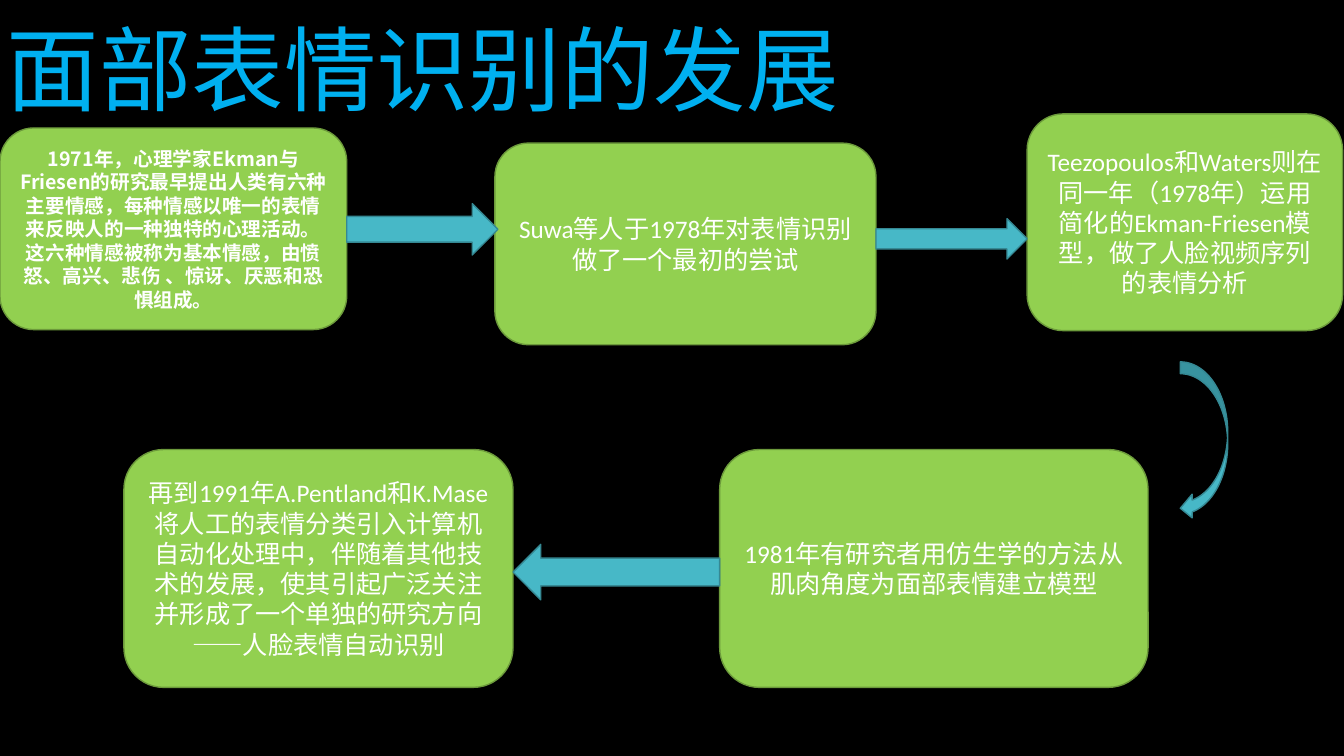
from dataclasses import dataclass

from lxml.etree import SubElement
from pptx import Presentation
from pptx.dml.color import RGBColor as RGB
from pptx.enum.lang import MSO_LANGUAGE_ID as LANG
from pptx.enum.shapes import MSO_SHAPE as SHAPE
from pptx.enum.text import MSO_ANCHOR as ANCHOR, PP_ALIGN as ALIGN
from pptx.oxml.ns import qn
from pptx.util import Inches, Pt

COLS, ROWS = 40, 22.5


@dataclass(frozen=True)
class Theme:
    background: str = "000000"
    title: str = "00B0F0"
    text: str = "FFFFFF"
    box: tuple = ("92D050", "6C9A3B")
    arrow: tuple = ("47B8C7", "358893")
    latin: str = "Calibri"
    cjk: str = "Noto Sans CJK SC"
    title_size: int = 66
    body_size: int = 18
    small_size: int = 14


class Deck:
    """Draws on one slide; every place is (column, row, columns wide, rows high)."""

    def __init__(self, prs, theme):
        self.theme = theme
        self.col, self.row = prs.slide_width / COLS, prs.slide_height / ROWS
        self.slide = prs.slides.add_slide(prs.slide_layouts[6])
        fill = self.slide.background.fill
        fill.solid()
        fill.fore_color.rgb = RGB.from_string(theme.background)

    def place(self, at):
        return [round(n * unit) for n, unit in zip(at, (self.col, self.row) * 2)]

    def set_text(self, sp, text, color, anchor, align, spacing=None, **font):
        tf = sp.text_frame
        tf.word_wrap, tf.vertical_anchor = True, anchor
        p = tf.paragraphs[0]
        p.alignment, p.line_spacing = align, spacing
        r = p.add_run()
        r.text = text
        r.font.color.rgb = RGB.from_string(color)
        r.font.language_id = LANG.SIMPLIFIED_CHINESE
        for name, value in font.items():
            setattr(r.font, name, value)
        SubElement(r.font._element, qn("a:ea"), typeface=self.theme.cjk)

    def title(self, at, text):
        t = self.theme
        sp = self.slide.shapes.add_textbox(*self.place(at))
        self.set_text(sp, text, t.title, ANCHOR.BOTTOM, ALIGN.LEFT, 0.9,
                      name=t.cjk, size=Pt(t.title_size))

    def shape(self, kind, at, colors):
        sp = self.slide.shapes.add_shape(kind, *self.place(at))
        sp.shadow.inherit = False
        fill, line = (RGB.from_string(c) for c in colors)
        sp.fill.solid()
        sp.fill.fore_color.rgb = fill
        sp.line.color.rgb = line
        sp.line.width = Pt(1)
        return sp

    def box(self, at, text, **font):
        t = self.theme
        sp = self.shape(SHAPE.ROUNDED_RECTANGLE, at, t.box)
        font = {"name": t.latin, "size": Pt(t.body_size), **font}
        self.set_text(sp, text, t.text, ANCHOR.MIDDLE, ALIGN.CENTER, **font)

    def arrow(self, kind, at):
        self.shape(kind, at, self.theme.arrow)


def main():
    prs = Presentation()
    prs.slide_width, prs.slide_height = Inches(13.33), Inches(7.5)
    theme = Theme()
    deck = Deck(prs, theme)

    deck.title((-0.09, 0.09, 30, 3.75), "面部表情识别的发展")

    deck.box((0, 3.81, 10.32, 6),
             "1971年，心理学家Ekman与Friesen的研究最早提出人类有六种主要情感，"
             "每种情感以唯一的表情来反映人的一种独特的心理活动。这六种情感被称为基本情感，"
             "由愤怒、高兴、悲伤 、惊讶、厌恶和恐惧组成。",
             name=theme.cjk, size=Pt(theme.small_size), bold=True)

    milestones = [
        ((14.73, 4.26, 11.34, 6), "Suwa等人于1978年对表情识别做了一个最初的尝试"),
        ((30.57, 3.39, 9.39, 6.45),
         "Teezopoulos和Waters则在同一年（1978年）运用简化的Ekman-Friesen模型，"
         "做了人脸视频序列的表情分析"),
        ((21.42, 13.38, 12.75, 7.08),
         "1981年有研究者用仿生学的方法从肌肉角度为面部表情建立模型"),
        ((3.69, 13.38, 11.58, 7.08),
         "再到1991年A.Pentland和K.Mase将人工的表情分类引入计算机自动化处理中，"
         "伴随着其他技术的发展，使其引起广泛关注并形成了一个单独的研究方向"
         "——人脸表情自动识别"),
    ]
    for at, text in milestones:
        deck.box(at, text)

    arrows = [
        (SHAPE.RIGHT_ARROW, (10.32, 6.06, 4.5, 1.53)),
        (SHAPE.RIGHT_ARROW, (26.07, 6.51, 4.5, 1.2)),
        (SHAPE.CURVED_LEFT_ARROW, (35.13, 10.77, 1.41, 4.71)),
        (SHAPE.LEFT_ARROW, (15.27, 16.2, 6.15, 1.65)),
    ]
    for kind, at in arrows:
        deck.arrow(kind, at)

    prs.save("out.pptx")


if __name__ == "__main__":
    main()
